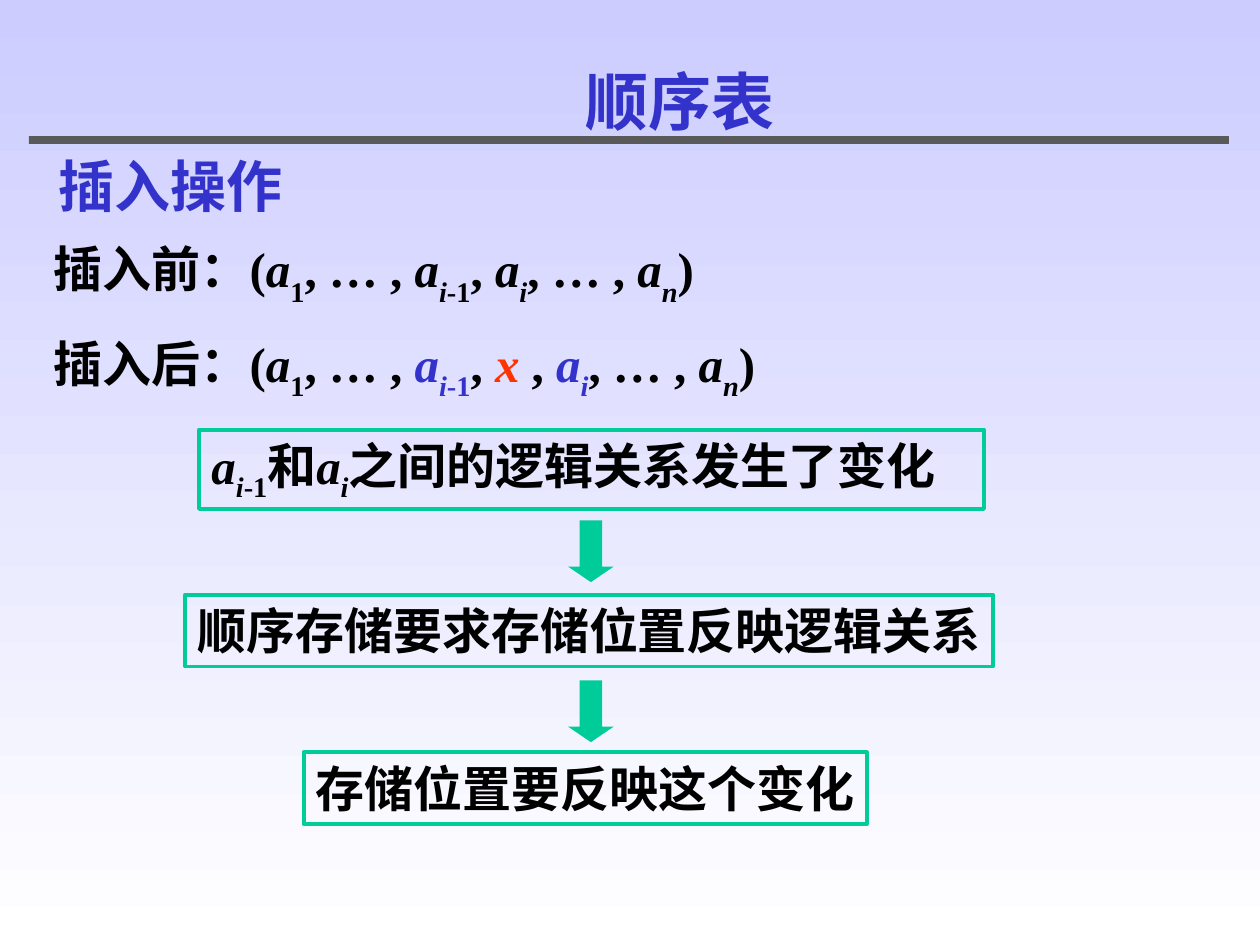
from pptx import Presentation
from pptx.dml.color import RGBColor
from pptx.enum.shapes import MSO_SHAPE
from pptx.enum.text import MSO_ANCHOR, PP_ALIGN
from pptx.util import Inches, Pt

BLACK, BLUE, RED, GREEN, GREY = "000000", "3333CC", "FF3300", "00CC99", "595959"
SERIF = "Times New Roman"


def rgb(color):
    return RGBColor.from_string(color)


def add_runs(p, runs, size=28, color=BLACK, font=SERIF, drop=-30000):
    """Each run is (text, marks[, color]); marks: i = italic, _ = subscript."""
    for text, marks, *own in runs:
        r = p.add_run()
        r.text = text
        r.font.name, r.font.size, r.font.bold = font, Pt(size), True
        r.font.italic = "i" in marks
        r.font.color.rgb = rgb(own[0] if own else color)
        if "_" in marks:
            r._r.get_or_add_rPr().set("baseline", str(drop))


prs = Presentation()
prs.slide_width, prs.slide_height = Inches(10), Inches(7.5)
s = prs.slides.add_slide(prs.slide_layouts[6])

# Background and title rule
bg = s.background.fill
bg.gradient()
bg.gradient_angle = 270
for stop, color in zip(bg.gradient_stops, ("CCCCFF", "FFFFFF")):
    stop.color.rgb = rgb(color)

rule = s.shapes.add_shape(MSO_SHAPE.RECTANGLE, Inches(0.23), Inches(1.08), Inches(9.52), Inches(0.06))
rule.shadow.inherit = False
rule.fill.solid()
rule.fill.fore_color.rgb = rule.line.color.rgb = rgb(GREY)
rule.line.width = Pt(0.5)

# Lists before and after the insertion
head = [("(", ""), ("a", "i"), ("1", "_"), (", … , ", "")]
tail = [(", … , ", ""), ("a", "i"), ("n", "i_"), (")", "")]
before = [("a", "i"), ("i", "i_"), ("-1", "_"), (", ", ""), ("a", "i"), ("i", "i_")]
after = [(*run, BLACK if run[0] == ", " else BLUE) for run in before]
after[4:4] = [("x ", "i", RED), (", ", "")]

# Text boxes: place, anchor, alignment, size, colour, line spacing, paragraphs
texts = [
    ((0.33, 1.79, 9.17, 1.42), MSO_ANCHOR.TOP, PP_ALIGN.LEFT, 28, BLACK, 1.1,
     [[("插入前：", "")] + head + before + tail, [("插入后：", "")] + head + after + tail]),
    ((0.37, 1.17, 5.63, 0.59), MSO_ANCHOR.MIDDLE, PP_ALIGN.LEFT, 32, BLUE, 1, [[("插入操作", "")]]),
    ((1.31, 0.5, 8.17, 0.6), MSO_ANCHOR.TOP, PP_ALIGN.CENTER, 36, BLUE, 1, [[("顺序表", "")]]),
]
for place, anchor, align, size, color, spacing, paragraphs in texts:
    tf = s.shapes.add_textbox(*map(Inches, place)).text_frame
    tf.word_wrap = True
    tf.vertical_anchor = anchor
    if align == PP_ALIGN.CENTER:
        tf.margin_top = tf.margin_bottom = 0
    for n, runs in enumerate(paragraphs):
        p = tf.add_paragraph() if n else tf.paragraphs[0]
        p.alignment, p.line_spacing = align, spacing
        if n:
            p.space_before = Pt(10.5)
        add_runs(p, runs, size, color)

# Chain of conclusions
relation = [("a", "i"), ("i", "i_"), ("-1", "_"), ("和", ""), ("a", "i"), ("i", "i_"),
            ("之间的逻辑关系发生了变化", "")]
boxes = [
    ((1.58, 3.41, 6.23, 0.63), SERIF, relation),
    ((1.47, 4.72, 6.41, 0.57), SERIF, [("顺序存储要求存储位置反映逻辑关系", "")]),
    ((2.41, 5.97, 4.47, 0.57), "Arial", [("存储位置要反映这个变化", "")]),
]
for place, font, runs in boxes:
    sp = s.shapes.add_shape(MSO_SHAPE.RECTANGLE, *map(Inches, place))
    sp.shadow.inherit = False
    sp.fill.background()
    sp.line.color.rgb, sp.line.width = rgb(GREEN), Pt(2.25)
    tf = sp.text_frame
    tf.word_wrap = False
    tf.vertical_anchor = MSO_ANCHOR.TOP
    tf.paragraphs[0].alignment = PP_ALIGN.LEFT
    add_runs(tf.paragraphs[0], runs, font=font, drop=-25000)

for top in (4.13, 5.4):
    arrow = s.shapes.add_shape(MSO_SHAPE.DOWN_ARROW, Inches(4.51), Inches(top), Inches(0.36), Inches(0.49))
    arrow.shadow.inherit = False
    arrow.adjustments[0], arrow.adjustments[1] = 0.5, 0.34
    arrow.fill.solid()
    arrow.fill.fore_color.rgb = rgb(GREEN)
    arrow.line.fill.background()

prs.save("out.pptx")
